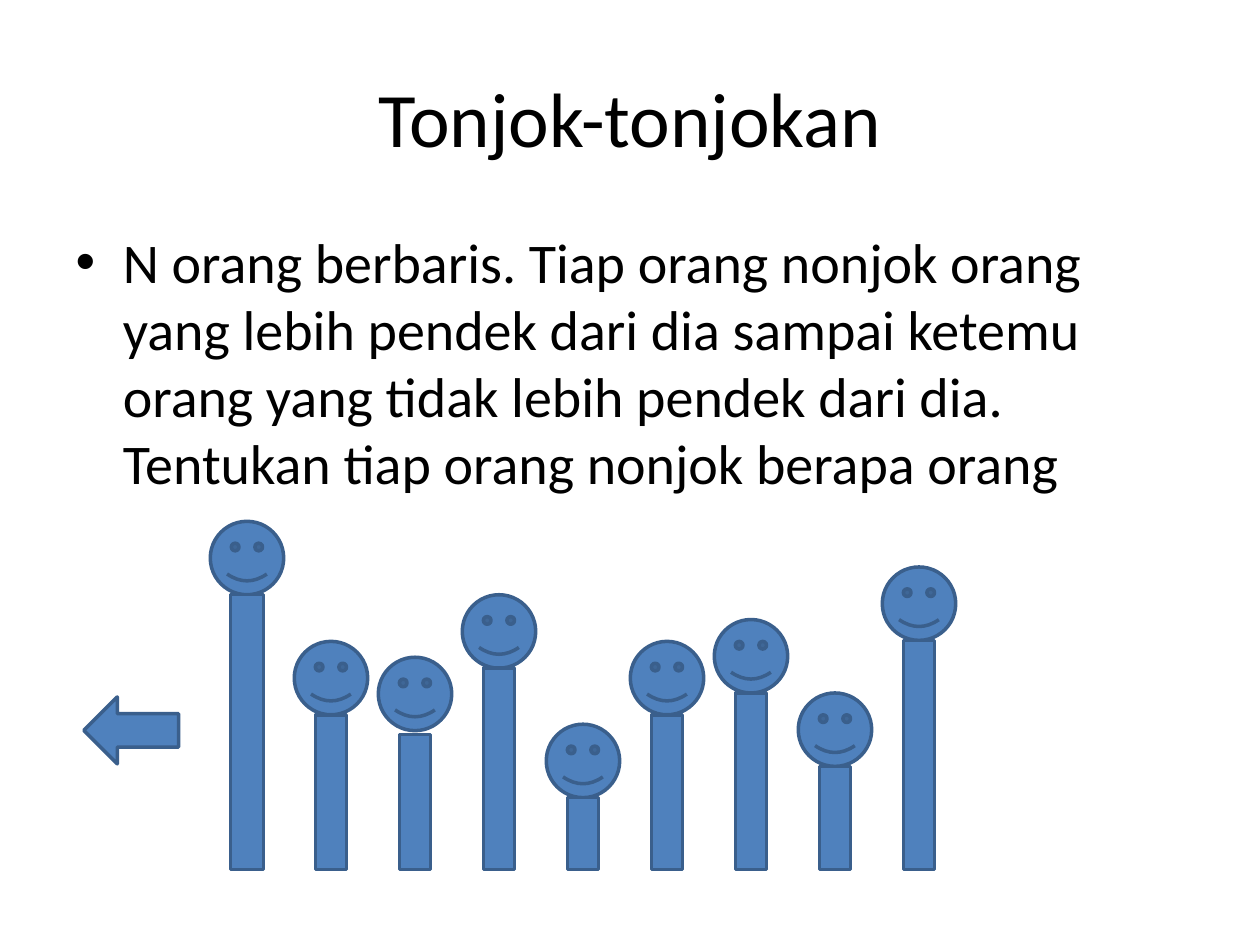
from dataclasses import dataclass

import pptx
import pptx.dml.color
import pptx.enum.shapes
import pptx.enum.text
import pptx.util

Cm = pptx.util.Cm
Pt = pptx.util.Pt
RGBColor = pptx.dml.color.RGBColor
Shape = pptx.enum.shapes.MSO_SHAPE

BLACK = RGBColor(0x00, 0x00, 0x00)
BLUE = RGBColor(0x4F, 0x81, 0xBD)
DARK_BLUE = RGBColor(0x3A, 0x5F, 0x8C)

# Lengths in centimetres
GROUND = 17.53
FIRST_CENTRE = 4.98
PITCH = 5.08 / 3
HEAD_SIZE = 1.48


@dataclass
class Person:
    height: float  # without the head
    width: float = 0.62
    neck: float = 0


QUEUE = [
    Person(5.54, width=0.66),
    Person(3.12),
    Person(2.72, neck=0.08),
    Person(4.06),
    Person(1.45),
    Person(3.12),
    Person(3.56),
    Person(2.08),
    Person(4.62),
]


def add_blue_shape(slide, kind, left: float, top: float, width: float, height: float) -> None:
    shape = slide.shapes.add_shape(kind, Cm(left), Cm(top), Cm(width), Cm(height))
    shape.shadow.inherit = False
    shape.fill.solid()
    shape.fill.fore_color.rgb = BLUE
    shape.line.color.rgb = DARK_BLUE
    shape.line.width = Pt(2)


def add_person(slide, person: Person, centre: float) -> None:
    shoulder = GROUND - person.height
    add_blue_shape(slide, Shape.SMILEY_FACE, centre - HEAD_SIZE / 2,
                   shoulder - person.neck - HEAD_SIZE, HEAD_SIZE, HEAD_SIZE)
    add_blue_shape(slide, Shape.RECTANGLE, centre - person.width / 2,
                   shoulder, person.width, person.height)


def fill_placeholder(holder, text: str, size: int, top: float, height: float) -> None:
    holder.left, holder.top = Cm(1.27), Cm(top)
    holder.width, holder.height = Cm(22.86), Cm(height)
    holder.text_frame.text = text
    font = holder.text_frame.paragraphs[0].font
    font.name = "Calibri"
    font.size = Pt(size)
    font.color.rgb = BLACK


def main() -> None:
    deck = pptx.Presentation()
    deck.slide_width, deck.slide_height = Cm(25.4), Cm(19.05)
    slide = deck.slides.add_slide(deck.slide_layouts[1])

    title, problem = slide.placeholders
    fill_placeholder(title, "Tonjok-tonjokan", 44, top=0.76, height=3.18)
    title.text_frame.paragraphs[0].alignment = pptx.enum.text.PP_ALIGN.CENTER
    fill_placeholder(
        problem,
        "N orang berbaris. Tiap orang nonjok orang yang lebih pendek dari dia "
        "sampai ketemu orang yang tidak lebih pendek dari dia. "
        "Tentukan tiap orang nonjok berapa orang",
        32, top=4.45, height=12.57)

    for place, person in enumerate(QUEUE):
        add_person(slide, person, FIRST_CENTRE + place * PITCH)
    add_blue_shape(slide, Shape.LEFT_ARROW, 1.69, 14.05, 1.91, 1.35)

    deck.save("out.pptx")


if __name__ == "__main__":
    main()
